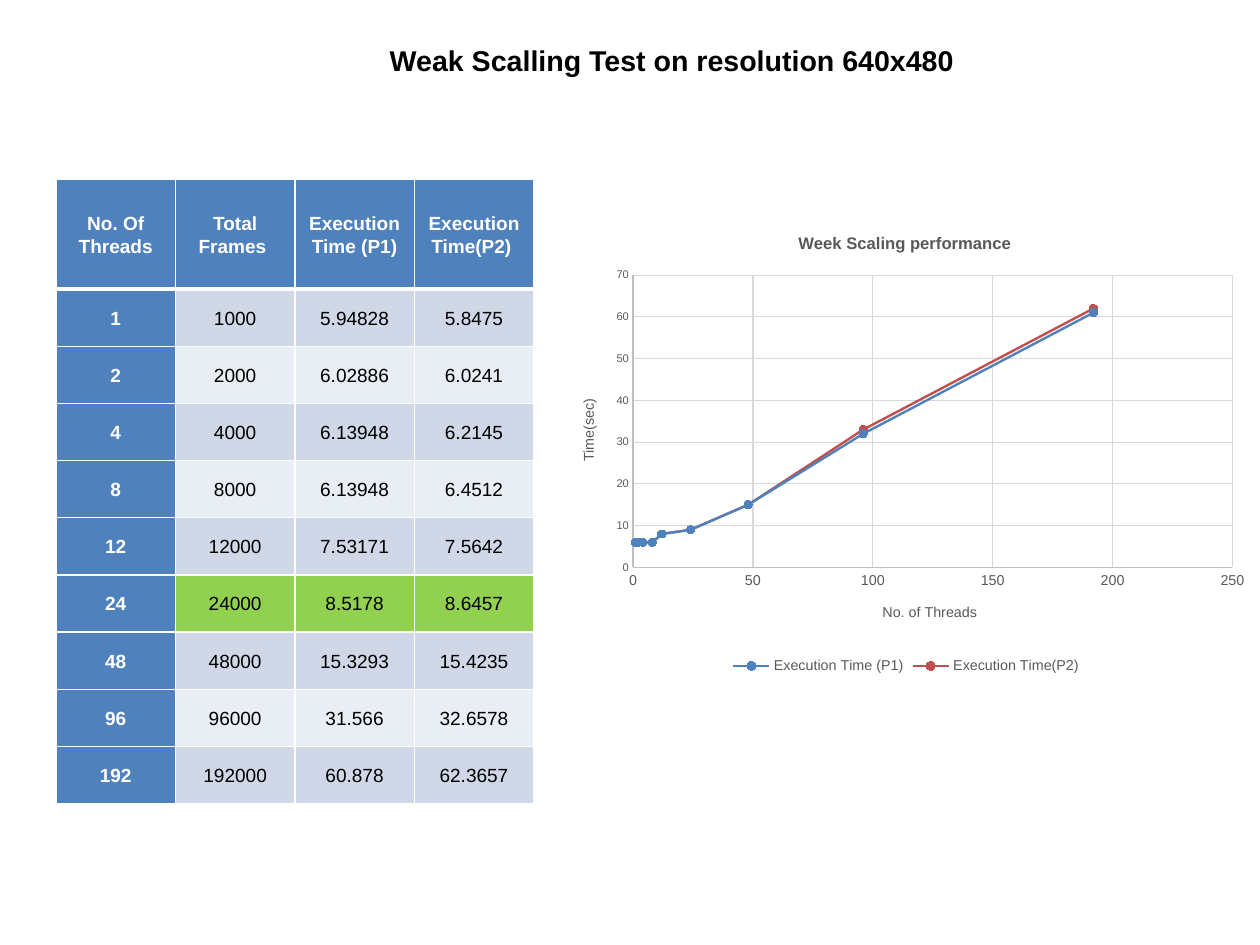
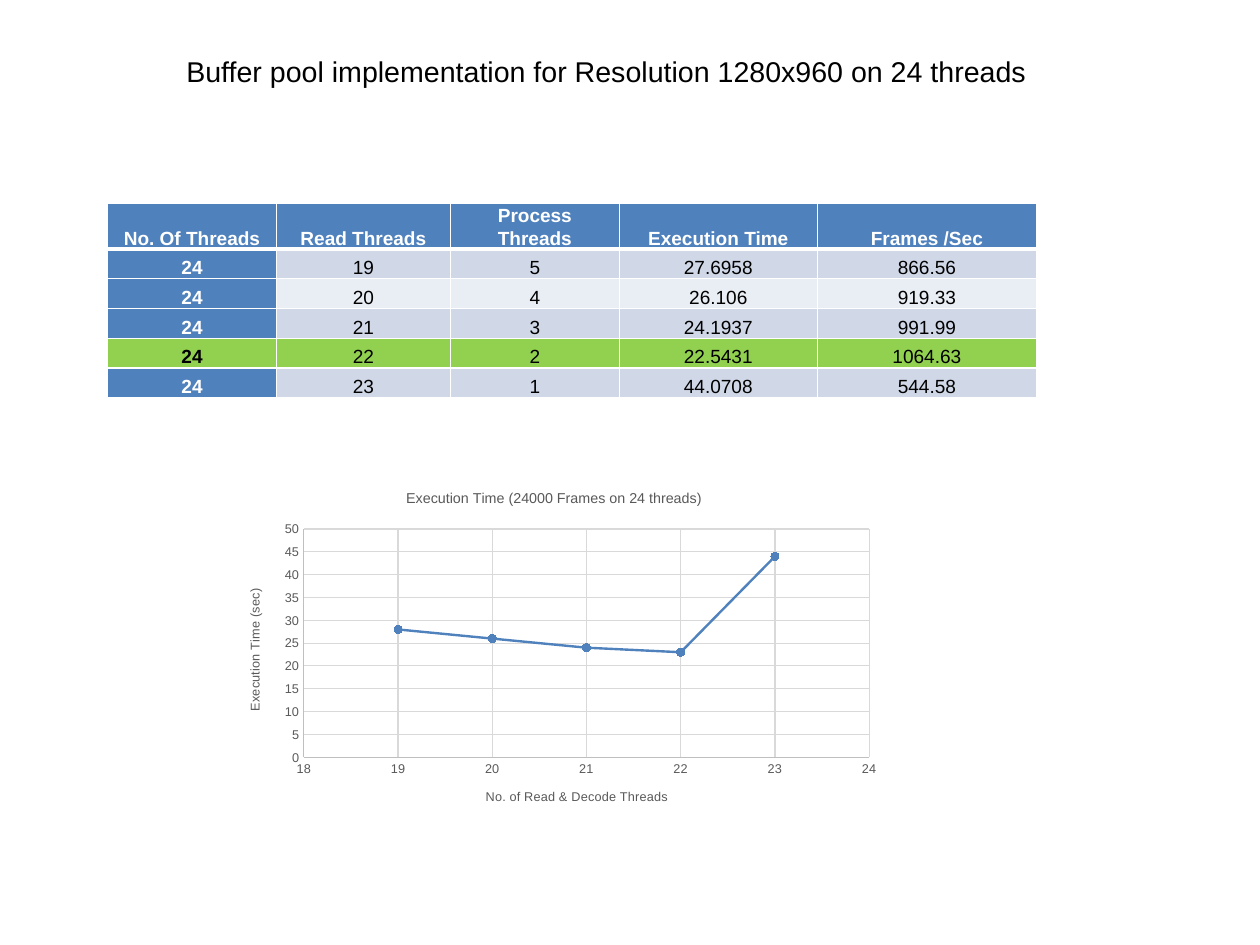
from lxml import etree
from pptx import Presentation
from pptx import util as u
from pptx.chart import data as chart_data
from pptx.dml.color import RGBColor
from pptx.enum import chart as ch, text
from pptx.oxml import ns

BLUE, RED, GREEN = "4F81BD", "C0504D", "92D050"
BANDS = ("D0D8E8", "E9EDF4")
BLACK, WHITE, GREY = "000000", "FFFFFF", "595959"
AXIS, GRID = "BFBFBF", "D9D9D9"
MM_PER_INCH = 25.4

SCALING = [
    ["No. Of Threads", "Total Frames ", "Execution Time (P1)", "Execution Time(P2) "],
    ["1", "1000", "5.94828", "5.8475"],
    ["2", "2000", "6.02886", "6.0241"],
    ["4", "4000", "6.13948", "6.2145"],
    ["8", "8000", "6.13948", "6.4512"],
    ["12", "12000", "7.53171", "7.5642"],
    ["24", "24000", "8.5178", "8.6457"],
    ["48", "48000", "15.3293", "15.4235"],
    ["96", "96000", "31.566", "32.6578"],
    ["192", "192000", "60.878", "62.3657"],
]
BUFFER_POOL = [
    ["No. Of Threads", "Read Threads", "Process Threads", "Execution Time", "Frames /Sec"],
    ["24", "19", "5", "27.6958", "866.56"],
    ["24", "20", "4", "26.106", "919.33"],
    ["24", "21", "3", "24.1937", "991.99"],
    ["24", "22", "2", "22.5431", "1064.63"],
    ["24", "23", "1", "44.0708", "544.58"],
]


def rgb(value):
    return RGBColor.from_string(value)


def apply(target, **values):
    for name, value in values.items():
        setattr(target, name, value)


def column(rows, index):
    return [round(float(row[index])) for row in rows[1:]]


def place(element, inner=False, **fractions):
    for old in element.findall(ns.qn("c:layout")):
        element.remove(old)
    layout = etree.Element(ns.qn("c:layout"))
    manual = etree.SubElement(layout, ns.qn("c:manualLayout"))
    settings = {"layoutTarget": "inner"} if inner else {}
    settings.update(xMode="edge", yMode="edge", **fractions)
    for tag, value in settings.items():
        etree.SubElement(manual, ns.qn(f"c:{tag}")).set("val", str(value))
    wording = element.find(ns.qn("c:tx"))
    if wording is None:
        element.insert(0, layout)
    else:
        wording.addnext(layout)


class Deck:
    def __init__(self, prs):
        self.prs = prs
        self.slide = None

    def font(self, font, size, color=BLACK, bold=False):
        apply(font, name="Arial", size=u.Pt(size), bold=bold)
        font.color.rgb = rgb(color)

    def line(self, line, color, width):
        line.color.rgb = rgb(color)
        line.width = u.Pt(width)

    def box(self, at):
        return [u.Inches(length) for length in at]

    def add_slide(self, wording, at, indent, bold=False):
        self.slide = self.prs.slides.add_slide(self.prs.slide_layouts[5])
        title = self.slide.shapes.title
        apply(title, **dict(zip(("left", "top", "width", "height"), self.box(at))))
        frame = title.text_frame
        apply(frame, text=wording, word_wrap=True, auto_size=text.MSO_AUTO_SIZE.NONE,
              vertical_anchor=text.MSO_ANCHOR.MIDDLE, margin_left=u.Inches(indent),
              margin_right=0, margin_top=0, margin_bottom=0)
        frame.paragraphs[0].alignment = text.PP_ALIGN.LEFT
        self.font(frame.paragraphs[0].runs[0].font, 18, bold=bold)

    def borders(self, cell, top, bottom):
        properties = cell._tc.get_or_add_tcPr()
        widths = {"lnL": 1, "lnR": 1, "lnT": top, "lnB": bottom}
        for index, (side, width) in enumerate(widths.items()):
            edge = etree.Element(ns.qn(f"a:{side}"), w=str(u.Pt(width)))
            fill = etree.SubElement(edge, ns.qn("a:solidFill"))
            etree.SubElement(fill, ns.qn("a:srgbClr"), val=WHITE)
            properties.insert(index, edge)

    def cell(self, cell, wording, fill, color, bold, anchor):
        apply(cell, text=wording, vertical_anchor=anchor, margin_left=u.Inches(0.07),
              margin_right=u.Inches(0.07), margin_top=0, margin_bottom=0)
        cell.fill.solid()
        cell.fill.fore_color.rgb = rgb(fill)
        paragraph = cell.text_frame.paragraphs[0]
        apply(paragraph, alignment=text.PP_ALIGN.CENTER, line_spacing=1.07)
        self.font(paragraph.runs[0].font, 12, color, bold)

    def table(self, rows, at, widths, header, height, anchor, best, best_from):
        heights = [header] + [height] * (len(rows) - 1)
        size = (sum(widths), sum(heights))
        table = self.slide.shapes.add_table(
            len(rows), len(widths), *self.box(at + size)).table
        for grid_column, width in zip(table.columns, widths):
            grid_column.width = u.Inches(width)
        for r, row in enumerate(rows):
            table.rows[r].height = u.Inches(heights[r])
            for c, wording in enumerate(row):
                heading = r == 0 or c == 0
                fill, color = (BLUE, WHITE) if heading else (BANDS[(r - 1) % 2], BLACK)
                if r == best and c >= best_from:
                    fill, color = GREEN, BLACK
                cell = table.cell(r, c)
                self.cell(cell, wording, fill, color, heading, anchor)
                self.borders(cell, 3 if r == 1 else 1, 3 if r == 0 else 1)

    def caption(self, title, wording, size, spot, bold=False):
        title.text_frame.text = wording
        self.font(title.text_frame.paragraphs[0].runs[0].font, size, GREY, bold)
        place(title._element, x=spot[0], y=spot[1])

    def axis(self, axis, wording, size, label_size, spot):
        apply(axis, has_major_gridlines=True, major_tick_mark=ch.XL_TICK_MARK.NONE,
              minor_tick_mark=ch.XL_TICK_MARK.NONE)
        self.line(axis.major_gridlines.format.line, GRID, 0.75)
        self.line(axis.format.line, AXIS, 0.75)
        self.font(axis.tick_labels.font, label_size, GREY)
        self.caption(axis.axis_title, wording, size, spot)

    def chart(self, at, x, series, title, x_axis, y_axis, plot_area, legend=False):
        points = chart_data.XyChartData()
        for name, values in series.items():
            line = points.add_series(name)
            for pair in zip(x, values):
                line.add_data_point(*pair)
        chart = self.slide.shapes.add_chart(
            ch.XL_CHART_TYPE.XY_SCATTER_LINES, *self.box(at), points).chart
        self.font(chart.font, 10)
        chart.has_legend = legend
        if legend:
            apply(chart.legend, position=ch.XL_LEGEND_POSITION.BOTTOM,
                  include_in_layout=False)
            self.font(chart.legend.font, 9, GREY)
        self.caption(chart.chart_title, **title)
        self.axis(chart.category_axis, **x_axis)
        self.axis(chart.value_axis, **y_axis)
        body = chart.value_axis.axis_title.text_frame._txBody.find(ns.qn("a:bodyPr"))
        body.set("rot", "-5400000")
        body.set("vert", "horz")
        place(chart._chartSpace.chart.plotArea, inner=True, **plot_area)
        plot = chart.plots[0]
        plot.vary_by_categories = False
        for line, color in zip(plot.series, (BLUE, RED)):
            line.smooth = False
            self.line(line.format.line, color, 1.5)
            apply(line.marker, style=ch.XL_MARKER_STYLE.CIRCLE, size=5)
            line.marker.format.fill.solid()
            line.marker.format.fill.fore_color.rgb = rgb(color)
            self.line(line.marker.format.line, color, 0.75)
        return chart


def weak_scaling(deck):
    deck.add_slide("Weak Scalling Test on resolution 640x480",
                   (2.41, 0.09, 6.21, 0.87), indent=1, bold=True)
    deck.table(SCALING, (0.49, 1.57), [4.18 / 4] * 4, header=0.96, height=0.5,
               anchor=text.MSO_ANCHOR.MIDDLE, best=6, best_from=1)
    deck.chart(
        (4.86, 1.88, 6.17, 4.06), column(SCALING, 0),
        {SCALING[0][c]: column(SCALING, c) for c in (2, 3)},
        title=dict(wording="Week Scaling performance", size=10.5,
                   spot=(0.34, 0.03), bold=True),
        x_axis=dict(wording="No. of Threads", size=9, label_size=9, spot=(0.46, 0.83)),
        y_axis=dict(wording="Time(sec)", size=9, label_size=7, spot=(0.03, 0.39)),
        plot_area=dict(x=0.11, y=0.13, w=0.85, h=0.63), legend=True)


def buffer_pool(deck):
    deck.add_slide("Buffer pool implementation for Resolution 1280x960 on 24 threads",
                   (1.53, 0.42, 7.69, 0.4), indent=0.1)
    deck.table(BUFFER_POOL, (0.94, 1.78), [1.48, 1.52, 1.48, 1.73, 1.92],
               header=0.34, height=0.26, anchor=text.MSO_ANCHOR.BOTTOM,
               best=4, best_from=0)
    chart = deck.chart(
        (1.96, 4.13, 5.82, 3.12), column(BUFFER_POOL, 1),
        {"Series 1": column(BUFFER_POOL, 3)},
        title=dict(wording="Execution Time (24000 Frames on 24 threads)", size=9,
                   spot=(0.27, 0.04)),
        x_axis=dict(wording="No. of Read & Decode Threads", size=8, label_size=8,
                    spot=(0.39, 0.88)),
        y_axis=dict(wording="Execution Time (sec)", size=8, label_size=8,
                    spot=(0.03, 0.32)),
        plot_area=dict(x=0.12, y=0.16, w=0.85, h=0.64))
    chart.category_axis.minimum_scale = 18


def main():
    prs = Presentation()
    prs.slide_width = u.Inches(280 / MM_PER_INCH)
    prs.slide_height = u.Inches(210 / MM_PER_INCH)
    deck = Deck(prs)
    weak_scaling(deck)
    buffer_pool(deck)
    prs.save("out.pptx")


if __name__ == "__main__":
    main()
